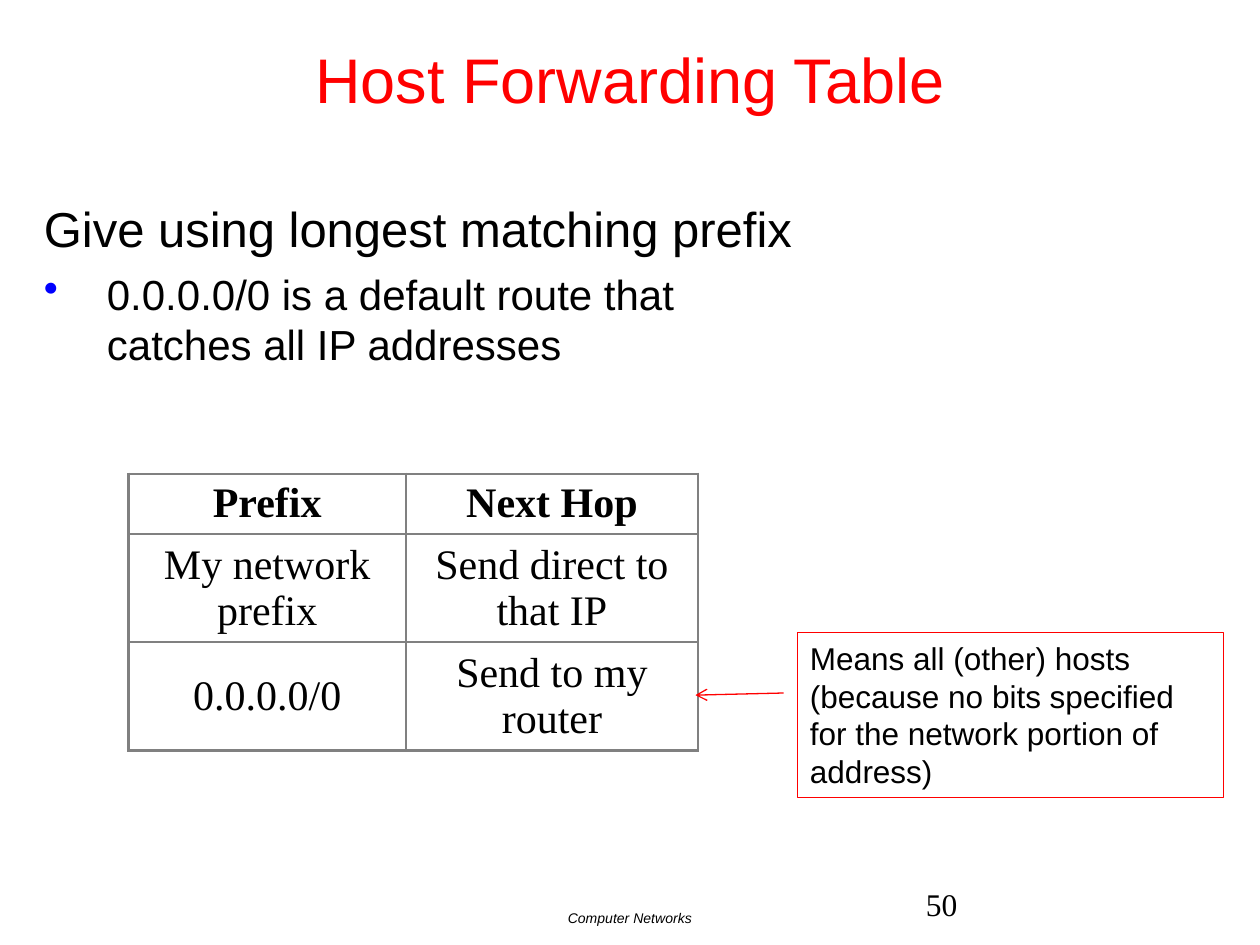
from pptx import Presentation
from pptx.dml.color import RGBColor
from pptx.enum.shapes import MSO_CONNECTOR, MSO_SHAPE
from pptx.enum.text import MSO_ANCHOR, PP_ALIGN
from pptx.oxml.ns import qn
from pptx.util import Pt
from lxml.etree import SubElement

LEFT, CENTER = PP_ALIGN.LEFT, PP_ALIGN.CENTER
TOP, MIDDLE = MSO_ANCHOR.TOP, MSO_ANCHOR.MIDDLE

TITLE = "Host Forwarding Table"
HEADING = "Give using longest matching prefix"
BULLET = "0.0.0.0/0 is a default route that catches all IP addresses"
ROUTES = [
    ("Prefix", "Next Hop"),
    ("My network prefix", "Send direct to that IP"),
    ("0.0.0.0/0", "Send to my router"),
]
CALLOUT = "Means all (other) hosts (because no bits specified for the network portion of address)"
FOOTER = "Computer Networks"
PAGE_NUMBER = "50"

THEME = {
    "sans": "Arial", "serif": "Times New Roman",
    "text": "000000", "accent": "FF0000", "bullet": "0000FF",
    "border": "808080", "paper": "FFFFFF",
    "title": 36, "heading": 28, "body": 24, "note": 18, "footer": 8,
    "thin": 0.75, "grid": 1.5,
}

PAGE_SIZE = (720, 540)
TITLE_AREA = (0, 0, 720, 90)
BODY_AREA = (18, 110, 450, 376)
TABLE_CORNER = (73.5, 270.75)
COLUMN_WIDTHS = (158.4, 167)
ROW_HEIGHTS = (34.3, 57, 57)
CELL_MARGINS = (3.6, 2.16)
CALLOUT_AREA = (455.75, 361.5, 243.25, 94.3)
ARROW = (447.8, 396, 397.4, 397.2)
FOOTER_AREA = (0, 516, 720, 24)
NUMBER_AREA = (522, 502, 168, 29)


def color(name):
    return RGBColor.from_string(THEME[name])


def write(para, text, size="body", font="sans", ink="text", bold=False,
          italic=False, align=LEFT, before=0):
    para.alignment = align
    para.space_before = Pt(before)
    span = para.add_run()
    span.text = text
    span.font.size = Pt(THEME[size])
    span.font.name = THEME[font]
    span.font.color.rgb = color(ink)
    span.font.bold = bold
    span.font.italic = italic


def add_text_box(page, area, anchor=TOP):
    frame = page.shapes.add_textbox(*map(Pt, area)).text_frame
    frame.word_wrap = True
    frame.vertical_anchor = anchor
    return frame


def add_bullet(para, indent):
    properties = para._p.get_or_add_pPr()
    properties.set("marL", str(Pt(indent)))
    properties.set("indent", str(-Pt(indent)))
    tint = SubElement(properties, qn("a:buClr"))
    SubElement(tint, qn("a:srgbClr"), val=THEME["bullet"])
    SubElement(properties, qn("a:buChar"), char="•")


def add_borders(cell):
    properties = cell._tc.get_or_add_tcPr()
    for position, side in enumerate(("lnL", "lnR", "lnT", "lnB")):
        line = properties.makeelement(qn(f"a:{side}"), {"w": str(Pt(THEME["grid"]))})
        fill = SubElement(line, qn("a:solidFill"))
        SubElement(fill, qn("a:srgbClr"), val=THEME["border"])
        properties.insert(position, line)


def add_routes(page):
    size = (sum(COLUMN_WIDTHS), sum(ROW_HEIGHTS))
    table = page.shapes.add_table(
        len(ROUTES), len(ROUTES[0]), *map(Pt, TABLE_CORNER + size)).table
    for column, width in zip(table.columns, COLUMN_WIDTHS):
        column.width = Pt(width)
    for row, height in zip(table.rows, ROW_HEIGHTS):
        row.height = Pt(height)
    for row_index, route in enumerate(ROUTES):
        for column_index, text in enumerate(route):
            cell = table.cell(row_index, column_index)
            cell.margin_left = cell.margin_right = Pt(CELL_MARGINS[0])
            cell.margin_top = cell.margin_bottom = Pt(CELL_MARGINS[1])
            cell.vertical_anchor = MIDDLE
            cell.fill.solid()
            cell.fill.fore_color.rgb = color("paper")
            add_borders(cell)
            write(cell.text_frame.paragraphs[0], text, font="serif",
                  bold=row_index == 0, align=CENTER)


def add_callout(page):
    box = page.shapes.add_shape(MSO_SHAPE.RECTANGLE, *map(Pt, CALLOUT_AREA))
    box.shadow.inherit = False
    box.fill.background()
    box.line.color.rgb = color("accent")
    box.line.width = Pt(THEME["thin"])
    box.text_frame.word_wrap = True
    box.text_frame.vertical_anchor = TOP
    write(box.text_frame.paragraphs[0], CALLOUT, size="note")

    arrow = page.shapes.add_connector(MSO_CONNECTOR.STRAIGHT, *map(Pt, ARROW))
    arrow.line.color.rgb = color("accent")
    arrow.line.width = Pt(THEME["thin"])
    SubElement(arrow.line._get_or_add_ln(), qn("a:tailEnd"), type="arrow")
    SubElement(arrow._element.spPr, qn("a:effectLst"))


def main():
    deck = Presentation()
    deck.slide_width, deck.slide_height = map(Pt, PAGE_SIZE)
    page = deck.slides.add_slide(deck.slide_layouts[6])

    write(add_text_box(page, FOOTER_AREA).paragraphs[0], FOOTER,
          size="footer", italic=True, align=CENTER)
    write(add_text_box(page, NUMBER_AREA).paragraphs[0], PAGE_NUMBER,
          size="note", font="serif")
    write(add_text_box(page, TITLE_AREA, MIDDLE).paragraphs[0], TITLE,
          size="title", ink="accent", align=CENTER)

    body = add_text_box(page, BODY_AREA)
    write(body.paragraphs[0], HEADING, size="heading", before=18)
    item = body.add_paragraph()
    write(item, BULLET, before=6)
    add_bullet(item, 36)

    add_routes(page)
    add_callout(page)
    deck.save("out.pptx")


if __name__ == "__main__":
    main()
